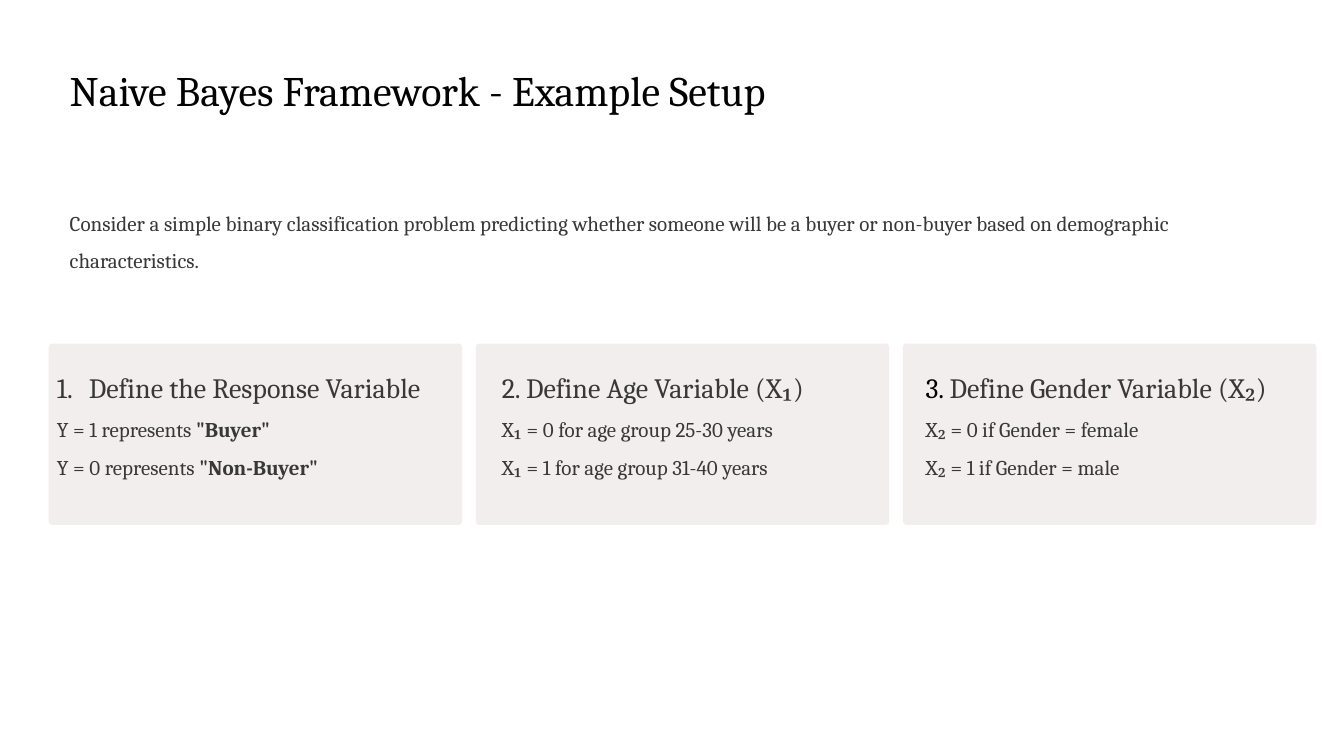
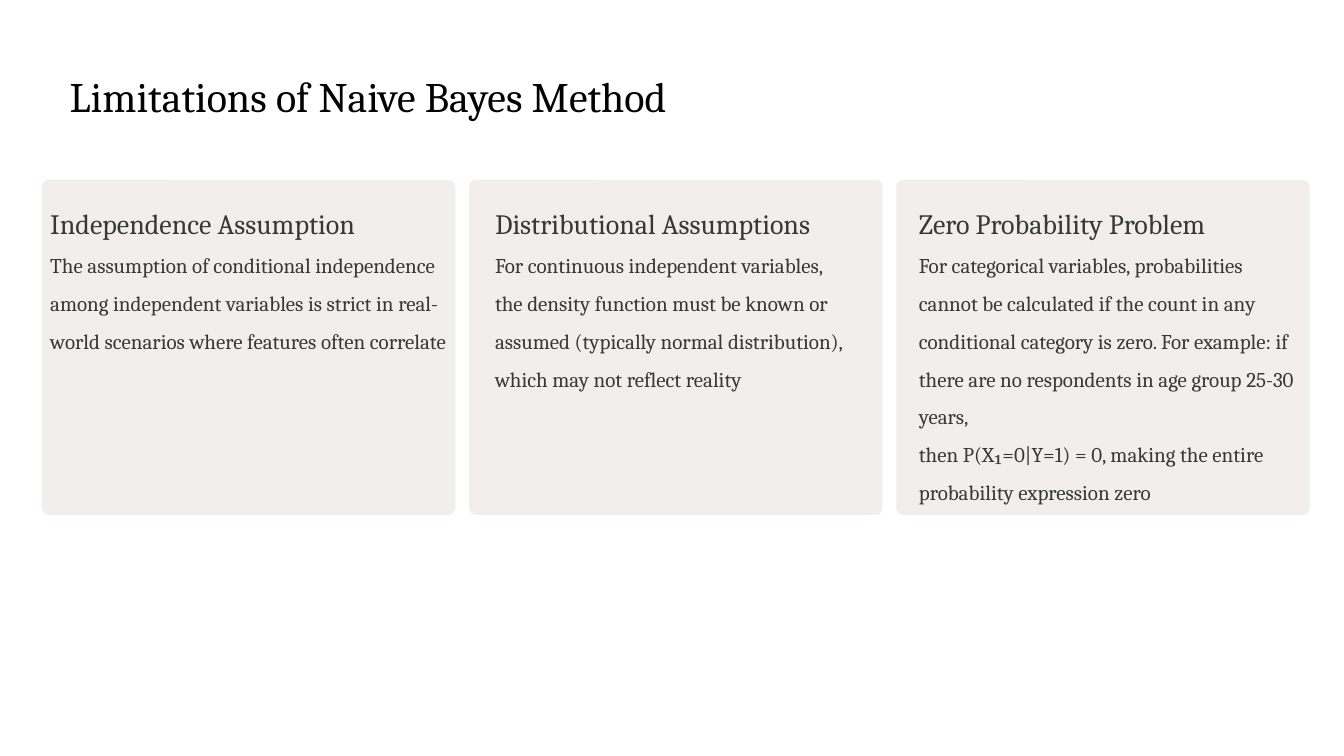
from lxml import etree
from pptx import Presentation
from pptx.dml.color import RGBColor
from pptx.enum import shapes, text
from pptx.oxml.ns import qn
from pptx.util import Inches, Pt

COLORS = {"title": "020202", "body": "383838", "number": "000000", "card": "F2EEEE"}
FONT = "Cambria"

# Card row: three equal cards with equal gaps
ROW_W, CARD_W = 15.09, 4.92
PITCH = (ROW_W - CARD_W) / 2
# Text offset from the card's left edge, and text width, by column
TEXT_COLUMNS = [(0, 4.97), (0.21, 4.37), (0.17, 4.75)]

HEADING = {"size": Pt(24)}
BODY = {"size": Pt(18)}
BOLD = {"size": Pt(18), "bold": True}


def add_run(p, words, color="body", **fmt):
    r = p.add_run()
    r.text = words
    for name, value in {"name": FONT, **fmt}.items():
        setattr(r.font, name, value)
    r.font.color.rgb = RGBColor.from_string(COLORS[color])


def add_text(s, box, paragraphs, spacing=1.5, inset=True, numbered=False):
    """Each paragraph is a list of (words, format) runs."""
    tf = s.shapes.add_textbox(*map(Inches, box)).text_frame
    frame = {"word_wrap": True, "auto_size": text.MSO_AUTO_SIZE.SHAPE_TO_FIT_TEXT}
    if not inset:
        frame.update(dict.fromkeys(
            ("margin_left", "margin_top", "margin_right", "margin_bottom"), 0))
    for name, value in frame.items():
        setattr(tf, name, value)
    for i, runs in enumerate(paragraphs):
        p = tf.add_paragraph() if i else tf.paragraphs[0]
        if numbered and i == 0:
            add_number(p)
        p.line_spacing = spacing
        for words, fmt in runs:
            add_run(p, words, **fmt)


def add_number(p):
    pPr = p._p.get_or_add_pPr()
    indent = Inches(0.38)
    pPr.set("marL", str(indent))
    pPr.set("indent", str(-indent))
    etree.SubElement(pPr, qn("a:buFont"), typeface="+mj-lt")
    etree.SubElement(pPr, qn("a:buAutoNum"), type="arabicPeriod")


def add_title(s, words, height, spacing=1.0):
    title = [[(words, {"size": Pt(36), "color": "title"})]]
    add_text(s, (0.83, 0.77, 14.93, height), title, spacing, inset=False)


def add_card(s, left, top, height):
    sp = s.shapes.add_shape(shapes.MSO_SHAPE.ROUNDED_RECTANGLE,
                            *map(Inches, (left, top, CARD_W, height)))
    sp.adjustments[0] = 0.02
    sp.shadow.inherit = False
    sp.fill.solid()
    sp.fill.fore_color.rgb = RGBColor.from_string(COLORS["card"])
    sp.line.fill.background()


def add_card_row(s, left, top, height, cards, numbered=False):
    """Each card is (text height, paragraphs)."""
    for i, (text_h, paragraphs) in enumerate(cards):
        x = left + i * PITCH
        offset, width = TEXT_COLUMNS[i]
        add_card(s, x, top, height)
        add_text(s, (x + offset, top + 0.07, width, text_h), paragraphs,
                 numbered=numbered and i == 0)


def example_slide(s):
    add_title(s, "Naive Bayes Framework - Example Setup", 1.21)
    # Introduction
    add_text(s, (0.83, 2.35, 13.88, 1.32), [[(
        "Consider a simple binary classification problem predicting whether someone "
        "will be a buyer or non-buyer based on demographic characteristics.", BODY)]],
        inset=False)
    # Variable definitions
    add_card_row(s, 0.58, 4.09, 2.16, [
        (2.02, [[("Define the Response Variable", HEADING)],
                [("Y = 1 represents ", BODY), ('"Buyer"', BOLD)],
                [("Y = 0 represents ", BODY), ('"Non-Buyer"', BOLD)]]),
        (2.02, [[("2. Define Age Variable (X₁)", HEADING)],
                [("X₁ = 0 for age group 25-30 years", BODY)],
                [("X₁ = 1 for age group 31-40 years", BODY)]]),
        (2.02, [[("3. ", {**HEADING, "color": "number"}),
                 ("Define Gender Variable (X₂)", HEADING)],
                [("X₂ = 0 if Gender = female", BODY)],
                [("X₂ = 1 if Gender = male", BODY)]]),
    ], numbered=True)


def limitations_slide(s):
    add_title(s, "Limitations of Naive Bayes Method", 0.65, Pt(48.5))
    add_card_row(s, 0.5, 2.14, 3.99, [
        (2.93, [[("Independence Assumption", HEADING)],
                [("The assumption of conditional independence among independent "
                  "variables is strict in real-world scenarios where features "
                  "often correlate", BODY)]]),
        (3.39, [[("Distributional Assumptions", HEADING)],
                [("For continuous independent variables, the density function must "
                  "be known or assumed (typically normal distribution), which may "
                  "not reflect reality", BODY)]]),
        (4.29, [[("Zero Probability Problem", HEADING)],
                [("For categorical variables, probabilities cannot be calculated if "
                  "the count in any conditional category is zero. For example: if "
                  "there are no respondents in age group 25-30 years,", BODY)],
                [("then P(X₁=0|Y=1) = 0, making the entire probability expression "
                  "zero", BODY)]]),
    ])


def main():
    prs = Presentation()
    prs.slide_width, prs.slide_height = Inches(16), Inches(9)
    for build in (example_slide, limitations_slide):
        build(prs.slides.add_slide(prs.slide_layouts[6]))
    prs.save("out.pptx")


if __name__ == "__main__":
    main()
